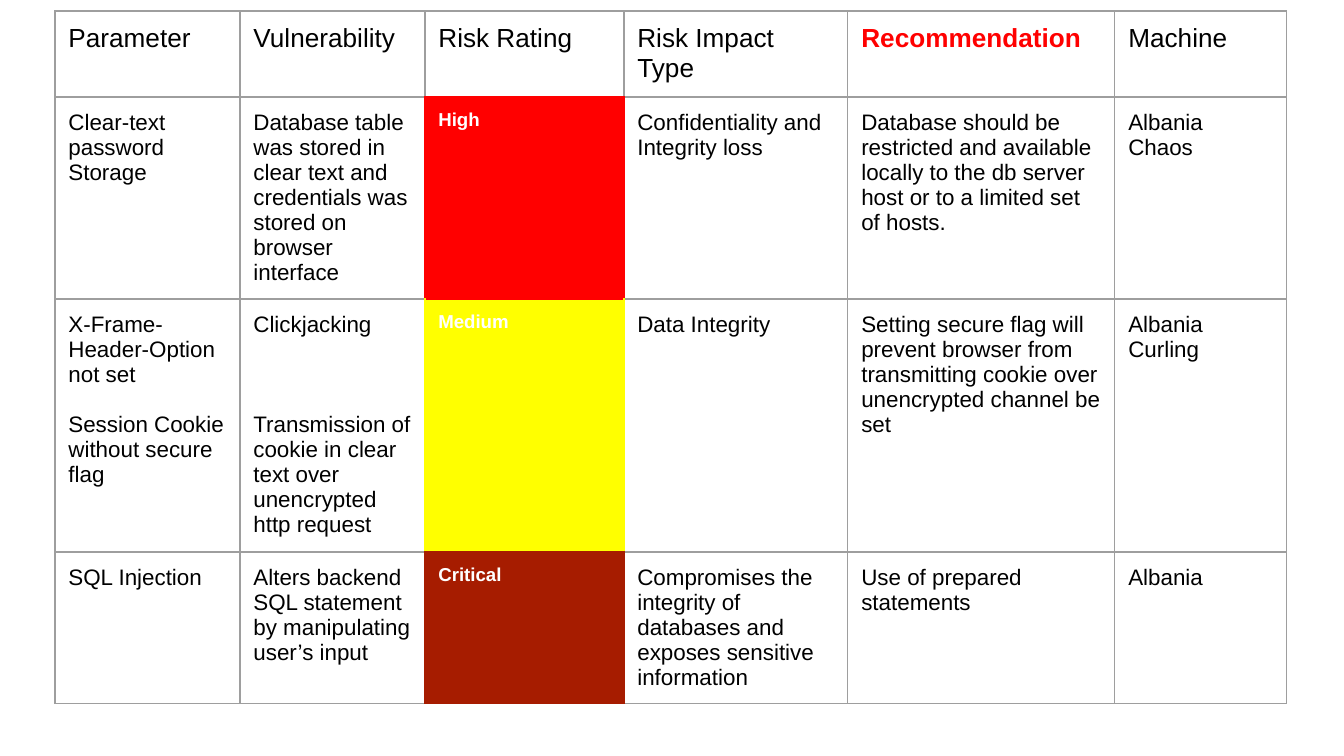
from lxml.etree import SubElement
from pptx import Presentation
from pptx.dml.color import RGBColor
from pptx.oxml.ns import qn
from pptx.util import Emu, Pt

SCALE = 914400 / 134.4
BLACK, WHITE, GREY = "000000", "FFFFFF", "9E9E9E"
RED, YELLOW, BROWN = "FF0000", "FFFF00", "A61C00"
RATING_COLUMN = 2
RECOMMENDATION_COLUMN = 4
COLUMN_WIDTHS = [185, 185, 199, 224, 267, 172]
ROW_HEIGHTS = [86, 202, 253, 152]
ROW_COLOURS = [GREY, RED, YELLOW, BROWN]
RATING_RULES = [GREY, RED, RED, BROWN, BROWN]
PARAGRAPH_GAPS = {(2, 0): 25, (2, 1): 75}

ROWS = [
    ["Parameter", "Vulnerability", "Risk Rating", "Risk Impact Type",
     "Recommendation", "Machine"],
    ["Clear-text password\nStorage",
     "Database table was stored in clear text and credentials was stored on "
     "browser interface",
     "High",
     "Confidentiality and Integrity loss",
     "Database should be restricted and available locally to the db server "
     "host or to a limited set of hosts.",
     "Albania\nChaos"],
    ["X-Frame-Header-Option not set\nSession Cookie without secure flag",
     "Clickjacking\nTransmission of cookie in clear text over unencrypted "
     "http request",
     "Medium",
     "Data Integrity",
     "Setting secure flag will prevent browser from transmitting cookie over "
     "unencrypted channel be set",
     "Albania\nCurling"],
    ["SQL Injection",
     "Alters backend SQL statement by manipulating user’s input",
     "Critical",
     "Compromises the integrity of databases and exposes sensitive information",
     "Use of prepared statements",
     "Albania"],
]


def px(length):
    return Emu(round(length * SCALE))


def colour(value):
    return RGBColor.from_string(value)


class SlideBuilder:
    font_name = "Arial"
    cell_margin = 13
    border_width = Pt(0.75)

    def __init__(self, slide):
        self.slide = slide

    def table(self, left, top, widths, heights):
        frame = self.slide.shapes.add_table(
            len(heights), len(widths), px(left), px(top),
            px(sum(widths)), px(sum(heights)))
        table = frame.table
        table.first_row = False
        table.horz_banding = False
        for column, width in zip(table.columns, widths):
            column.width = px(width)
        for row, height in zip(table.rows, heights):
            row.height = px(height)
        return table

    def borders(self, cell, left, right, top, bottom):
        properties = cell._tc.get_or_add_tcPr()
        edges = {"a:lnL": left, "a:lnR": right, "a:lnT": top, "a:lnB": bottom}
        for tag, value in edges.items():
            line = SubElement(properties, qn(tag), w=str(self.border_width))
            fill = SubElement(line, qn("a:solidFill"))
            SubElement(fill, qn("a:srgbClr"), val=value)

    def fill(self, cell, value=None):
        if value:
            cell.fill.solid()
            cell.fill.fore_color.rgb = colour(value)
        else:
            cell.fill.background()

    def text(self, cell, text, size, value, bold, gap):
        cell.margin_top = cell.margin_bottom = px(self.cell_margin)
        cell.text_frame.text = text
        for index, paragraph in enumerate(cell.text_frame.paragraphs):
            if index and gap:
                paragraph.space_before = px(gap)
            for run in paragraph.runs:
                run.font.name = self.font_name
                run.font.size = Pt(size)
                run.font.bold = bold
                run.font.color.rgb = colour(value)


def text_style(row, column):
    if row == 0:
        highlighted = column == RECOMMENDATION_COLUMN
        return 14, RED if highlighted else BLACK, highlighted
    if column == RATING_COLUMN:
        return 10, WHITE, True
    return 12, BLACK, False


def vertical_rule(row, edge):
    beside_rating = edge in (RATING_COLUMN, RATING_COLUMN + 1)
    return ROW_COLOURS[row] if beside_rating else GREY


def horizontal_rule(edge, column):
    return RATING_RULES[edge] if column == RATING_COLUMN else GREY


def main():
    presentation = Presentation()
    presentation.slide_width = px(1344)
    presentation.slide_height = px(756)
    slide = presentation.slides.add_slide(presentation.slide_layouts[6])
    builder = SlideBuilder(slide)

    risk_table = builder.table(55, 11, COLUMN_WIDTHS, ROW_HEIGHTS)
    for row, texts in enumerate(ROWS):
        for column, text in enumerate(texts):
            cell = risk_table.cell(row, column)
            builder.borders(
                cell,
                vertical_rule(row, column), vertical_rule(row, column + 1),
                horizontal_rule(row, column), horizontal_rule(row + 1, column))
            rated = row > 0 and column == RATING_COLUMN
            builder.fill(cell, ROW_COLOURS[row] if rated else None)
            builder.text(cell, text, *text_style(row, column),
                         PARAGRAPH_GAPS.get((row, column)))

    presentation.save("out.pptx")


if __name__ == "__main__":
    main()
